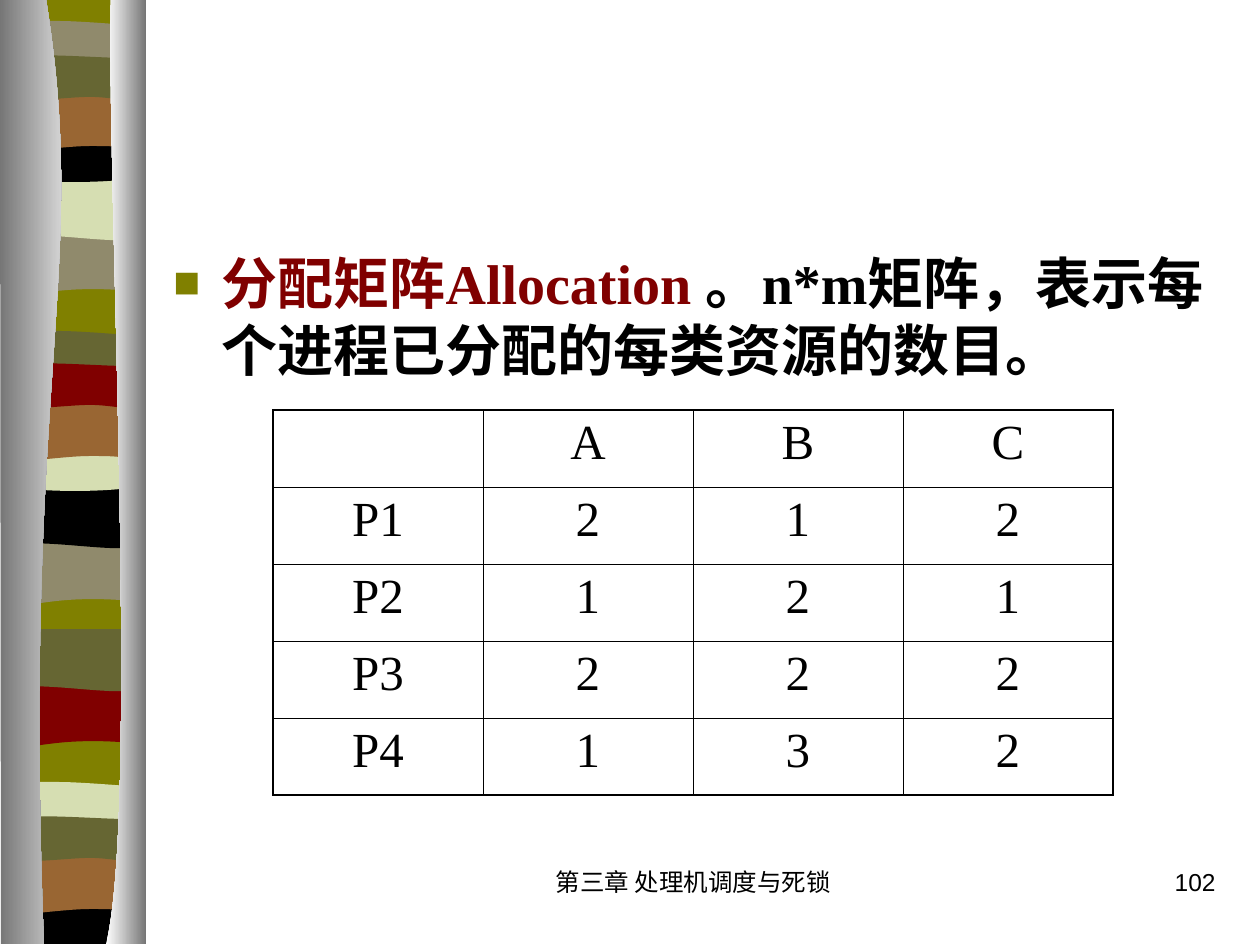
"""Build the slide on the allocation matrix of deadlock handling."""
from dataclasses import dataclass
from typing import Optional

from lxml.etree import SubElement
from pptx import Presentation
from pptx.dml.color import RGBColor
from pptx.enum.text import MSO_ANCHOR as Anchor, PP_ALIGN as Align
from pptx.oxml.ns import qn
from pptx.util import Pt

EMU_PER_PX = 914400 / 126

BLACK = RGBColor(0x00, 0x00, 0x00)
WHITE = RGBColor(0xFF, 0xFF, 0xFF)
GRAY = RGBColor(0x76, 0x76, 0x76)
OLIVE = RGBColor(0x80, 0x80, 0x00)
MAROON = RGBColor(0x80, 0x00, 0x00)
TAUPE = RGBColor(0x90, 0x8A, 0x6C)
MOSS = RGBColor(0x66, 0x66, 0x33)
BROWN = RGBColor(0x99, 0x66, 0x33)
CREAM = RGBColor(0xD6, 0xDE, 0xB2)

SERIF, SANS = "Times New Roman", "Arial"

# An outline is a start point followed by lines (x, y) and curves (x1, y1, x2, y2, x, y).
SAG = ((136, 0), (136, 59), (42, 49, 23, 69, 0, 59), (0, 0))
WAVE = ((136, 0), (136, 59), (113, 69, 42, 52, 0, 59), (0, 0))
LENS = ((136, 6), (136, 37), (113, 42, 23, 42, 0, 37), (0, 6),
        (8, 0, 29, 1, 52, 1), (74, 1, 118, 5, 136, 6))
CAP = ((136, 0), (136, 40), (113, 48, 23, 48, 0, 40), (0, 0), (83, 6, 107, 0, 136, 0))
FOOT = ((136, 0), (136, 47), (0, 47), (0, 0), (83, 6, 107, 0, 136, 0))
ARCH = ((136, 0), (136, 59), (115, 53, 106, 53, 83, 53), (60, 53, 20, 59, 0, 59), (0, 0))
RIBBON = ((136, 6), (136, 45), (127, 52, 106, 45, 83, 45), (60, 45, 14, 52, 0, 45),
          (0, 6), (19, 0, 92, 6, 115, 6), (138, 6, 132, 6, 136, 6))
BASE = ((136, 0), (136, 942), (0, 942), (0, 0))
LEFT_EDGE = ((46, 0), (90, 273, 22, 374, 44, 945), (1, 945), (0, 0))
RIGHT_EDGE = ((111, 0), (106, 159, 140, 815, 106, 945), (146, 945), (146, 1))


@dataclass(frozen=True)
class Band:
    outline: tuple
    top: int
    color: RGBColor
    left: int = 7
    end_color: Optional[RGBColor] = None


BANDS = (
    Band(BASE, -1, OLIVE),
    Band(SAG, 233, TAUPE), Band(WAVE, 178, CREAM), Band(LENS, 20, TAUPE),
    Band(CAP, 136, BLACK), Band(ARCH, 93, BROWN), Band(RIBBON, 52, MOSS),
    Band(SAG, 543, TAUPE), Band(WAVE, 486, BLACK), Band(LENS, 330, MOSS),
    Band(CAP, 445, CREAM), Band(ARCH, 403, BROWN), Band(RIBBON, 360, MAROON),
    Band(SAG, 685, MAROON), Band(WAVE, 629, MOSS), Band(LENS, 781, CREAM),
    Band(FOOT, 897, BLACK), Band(ARCH, 856, BROWN), Band(RIBBON, 813, MOSS),
    Band(LEFT_EDGE, -1, GRAY, 0, WHITE), Band(RIGHT_EDGE, -1, WHITE, 0, GRAY),
)

ROWS = (("", "A", "B", "C"), ("P1", "2", "1", "2"), ("P2", "1", "2", "1"),
        ("P3", "2", "2", "2"), ("P4", "1", "3", "2"))


def emu(px: float) -> int:
    return round(px * EMU_PER_PX)


def bend(shape, outline: tuple) -> None:
    path_node = next(shape._element.iter(qn("a:path")))
    steps = iter(path_node.findall(qn("a:lnTo")))
    for segment in outline[1:]:
        first = next(steps)
        if len(segment) == 6:
            first.tag = qn("a:cubicBezTo")
            for _ in range(2):
                step = next(steps)
                first.append(step[0])
                path_node.remove(step)


def draw_band(slide, band: Band) -> None:
    points = [(emu(band.left + x), emu(band.top + y)) for segment in band.outline
              for x, y in zip(segment[::2], segment[1::2])]
    builder = slide.shapes.build_freeform(*points[0], scale=1.0)
    builder.add_line_segments(points[1:], close=True)
    shape = builder.convert_to_shape()
    bend(shape, band.outline)
    shape.shadow.inherit = False
    shape.line.fill.background()
    if band.end_color is None:
        shape.fill.solid()
        shape.fill.fore_color.rgb = band.color
    else:
        shape.fill.gradient()
        shape.fill.gradient_angle = 0
        for stop, color in zip(shape.fill.gradient_stops, (band.color, band.end_color)):
            stop.color.rgb = color


def write(frame, *pieces: tuple, size: int, font: str = SERIF, bold: bool = False,
          align: Align = Align.LEFT, bullet: Optional[RGBColor] = None) -> None:
    frame.word_wrap = True
    para = frame.paragraphs[0]
    para.alignment = align
    if bullet is not None:
        props = para._p.get_or_add_pPr()
        props.set("marL", str(emu(48)))
        props.set("indent", str(-emu(48)))
        SubElement(SubElement(props, qn("a:buClr")), qn("a:srgbClr"), val=str(bullet))
        SubElement(props, qn("a:buSzPct"), val="80000")
        SubElement(props, qn("a:buFont"), typeface=SANS)
        SubElement(props, qn("a:buChar"), char="■")
    for text, color in pieces:
        span = para.add_run()
        span.text = text
        span.font.size = Pt(size)
        span.font.name = font
        span.font.bold = bold
        span.font.color.rgb = color


def add_box(slide, left: int, top: int, width: int, height: int, *pieces: tuple, **style) -> None:
    box = slide.shapes.add_textbox(emu(left), emu(top), emu(width), emu(height))
    write(box.text_frame, *pieces, **style)


def add_border(cell, side: str, points: float) -> None:
    line = SubElement(cell._tc.get_or_add_tcPr(), qn(f"a:ln{side}"), w=str(Pt(points)))
    SubElement(SubElement(line, qn("a:solidFill")), qn("a:srgbClr"), val=str(BLACK))


def add_matrix(slide, left: int, top: int, column_width: int, row_height: int) -> None:
    row_count, column_count = len(ROWS), len(ROWS[0])
    table = slide.shapes.add_table(row_count, column_count, emu(left), emu(top),
                                   emu(column_width * column_count),
                                   emu(row_height * row_count)).table
    table.first_row = table.horz_banding = False
    for column in table.columns:
        column.width = emu(column_width)
    for r, row in enumerate(ROWS):
        table.rows[r].height = emu(row_height)
        for c, value in enumerate(row):
            cell = table.cell(r, c)
            cell.vertical_anchor = Anchor.TOP
            outer = {"L": c == 0, "R": c == column_count - 1,
                     "T": r == 0, "B": r == row_count - 1}
            for side, is_outer in outer.items():
                add_border(cell, side, 1.08 if is_outer else 0.45)
            cell.fill.background()
            if value:
                write(cell.text_frame, (value, BLACK), size=28, align=Align.CENTER)


def main() -> None:
    deck = Presentation()
    deck.slide_width, deck.slide_height = emu(1260), emu(945)
    page = deck.slides.add_slide(deck.slide_layouts[6])
    for band in BANDS:
        draw_band(page, band)
    add_box(page, 161, 242, 1071, 179, ("分配矩阵Allocation ", MAROON),
            ("。n*m矩阵，表示每个进程已分配的每类资源的数目。", BLACK),
            size=32, bold=True, bullet=OLIVE)
    add_matrix(page, 273, 410, 210, 77)
    add_box(page, 494, 861, 399, 63, ("第三章 处理机调度与死锁", BLACK),
            size=14, font=SANS, align=Align.CENTER)
    add_box(page, 966, 861, 262, 63, ("102", BLACK), size=14, font=SANS, align=Align.RIGHT)
    deck.save("out.pptx")


if __name__ == "__main__":
    main()
